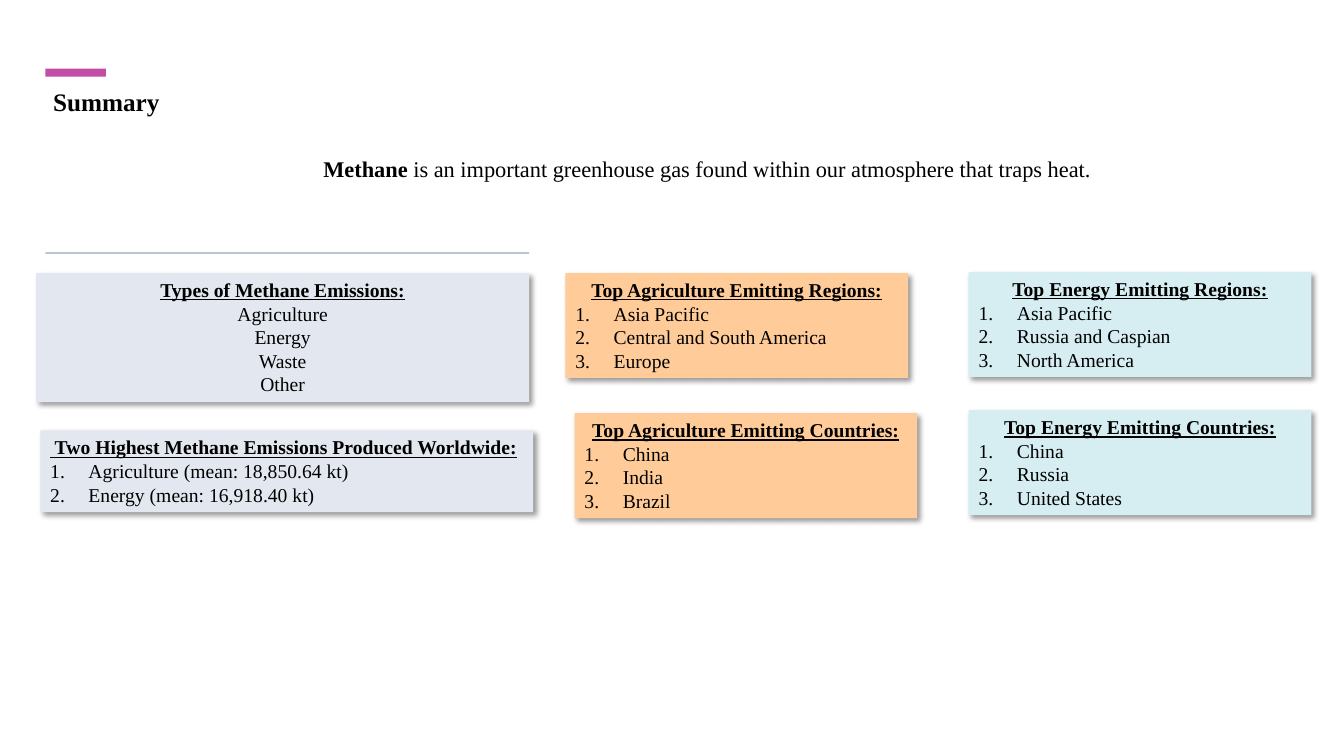
from lxml import etree
from pptx import Presentation
from pptx import util as u
from pptx.dml.color import RGBColor
from pptx.enum import shapes, text
from pptx.oxml import parse_xml
from pptx.oxml.ns import nsdecls, qn

BLACK = RGBColor(0x00, 0x00, 0x00)
WHITE = RGBColor(0xFF, 0xFF, 0xFF)
MAGENTA = RGBColor(0xC3, 0x4D, 0xA5)
RULE_BLUE = RGBColor(0xB9, 0xC6, 0xD8)
LAVENDER = RGBColor(0xE3, 0xE8, 0xF0)
ORANGE = RGBColor(0xFF, 0xCC, 0x99)
AQUA = RGBColor(0xD6, 0xED, 0xF1)
FONT = "Times New Roman"
LEFT, CENTER = text.PP_ALIGN.LEFT, text.PP_ALIGN.CENTER

presentation = Presentation()
presentation.slide_width = u.Inches(13.333)
presentation.slide_height = u.Inches(7.5)
slide = presentation.slides.add_slide(presentation.slide_layouts[6])
slide.background.fill.solid()
slide.background.fill.fore_color.rgb = WHITE

# Grid of 40 columns by 30 rows
COLUMN = presentation.slide_width / 40
ROW = presentation.slide_height / 30


def add_box(left, top, width, height, color=None):
    """Add a rectangle, or a text box when no colour is given, in grid units."""
    place = [int(n) for n in (left * COLUMN, top * ROW, width * COLUMN, height * ROW)]
    if color is None:
        shape = slide.shapes.add_textbox(*place)
    else:
        shape = slide.shapes.add_shape(shapes.MSO_SHAPE.RECTANGLE, *place)
        shape.fill.solid()
        shape.fill.fore_color.rgb = color
        shape.line.fill.background()
        shape.shadow.inherit = False
    shape.text_frame.word_wrap = True
    shape.text_frame.vertical_anchor = text.MSO_ANCHOR.TOP
    return shape


def add_run(paragraph, words, size, bold=False, underline=False):
    run = paragraph.add_run()
    run.text = words
    run.font.name = FONT
    run.font.size = u.Pt(size)
    run.font.bold = bold
    run.font.underline = underline
    run.font.color.rgb = BLACK


# Accent bar and rule
add_box(1.35, 2.72, 1.8, 0.32, MAGENTA)
add_box(1.35, 10, 14.4, 0.08, RULE_BLUE)

# Title
title = add_box(0.72, 3.24, 4.89, 1.6).text_frame.paragraphs[0]
title.alignment = CENTER
add_run(title, "Summary", 18, bold=True)

# Lead sentence
lead = add_box(9.33, 5.96, 25.74, 1.48).text_frame.paragraphs[0]
add_run(lead, "Methane", 16, bold=True)
add_run(lead, " is an important greenhouse gas found within our atmosphere that traps heat.", 16)

# Cards: left, top, width, height, colour, heading alignment, numbered, heading, items
WIDE, NARROW, TALL = 14.67, 10.2, 4.16
cards = [
    (1.08, 10.84, WIDE, 5.12, LAVENDER, CENTER, False, "Types of Methane Emissions:",
     ["Agriculture", "Energy", "Waste", "Other"]),
    (1.2, 17.08, WIDE, 3.24, LAVENDER, LEFT, True,
     " Two Highest Methane Emissions Produced Worldwide:",
     ["Agriculture (mean: 18,850.64 kt)", "Energy (mean: 16,918.40 kt)"]),
    (16.83, 10.84, NARROW, TALL, ORANGE, CENTER, True, "Top Agriculture Emitting Regions:",
     ["Asia Pacific", "Central and South America", "Europe"]),
    (28.83, 10.8, NARROW, TALL, AQUA, CENTER, True, "Top Energy Emitting Regions:",
     ["Asia Pacific", "Russia and Caspian", "North America"]),
    (17.1, 16.4, NARROW, TALL, ORANGE, CENTER, True, "Top Agriculture Emitting Countries:",
     ["China", "India", "Brazil"]),
    (28.83, 16.28, NARROW, TALL, AQUA, CENTER, True, "Top Energy Emitting Countries:",
     ["China", "Russia", "United States"]),
]
for left, top, width, height, color, alignment, numbered, heading, items in cards:
    card = add_box(left, top, width, height, color)
    card.text_frame.auto_size = text.MSO_AUTO_SIZE.SHAPE_TO_FIT_TEXT

    # Soft shadow to the lower right
    effects = card._element.spPr.find(qn("a:effectLst"))
    effects.append(parse_xml(
        f'<a:outerShdw {nsdecls("a")} blurRad="{u.Pt(4)}" dist="{u.Pt(3)}" dir="2700000" '
        'algn="tl" rotWithShape="0"><a:srgbClr val="000000"><a:alpha val="40000"/>'
        '</a:srgbClr></a:outerShdw>'))

    # Heading, then its list
    paragraph = card.text_frame.paragraphs[0]
    paragraph.alignment = alignment
    add_run(paragraph, heading, 14, bold=True, underline=True)
    for item in items:
        paragraph = card.text_frame.add_paragraph()
        paragraph.alignment = LEFT if numbered else CENTER
        if numbered:
            properties = paragraph._p.get_or_add_pPr()
            properties.set("marL", str(u.Inches(0.38)))
            properties.set("indent", str(-u.Inches(0.38)))
            etree.SubElement(properties, qn("a:buAutoNum"), type="arabicPeriod")
        add_run(paragraph, item, 14)

presentation.save("out.pptx")
